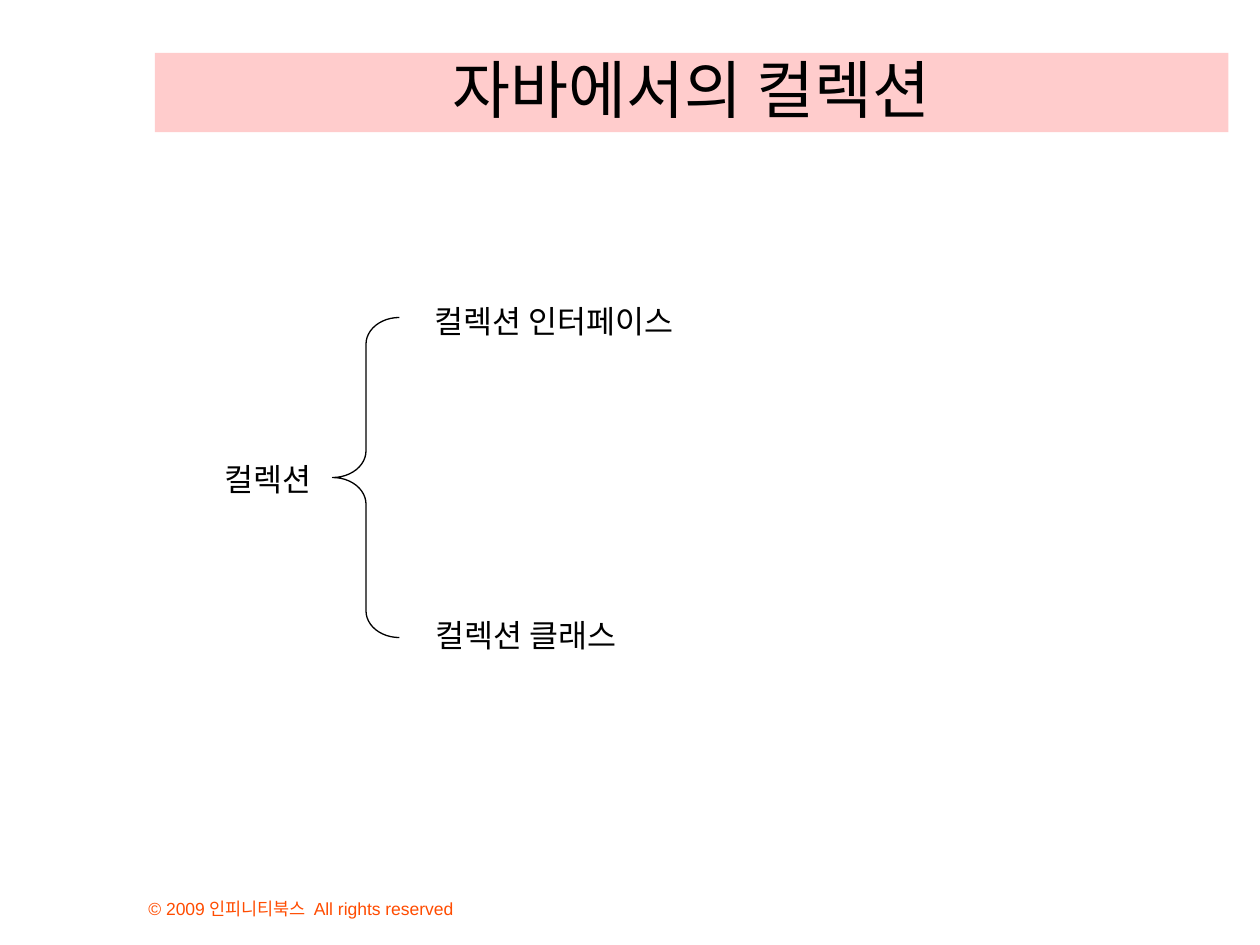
from pptx import Presentation
from pptx.dml.color import RGBColor
from pptx.enum.shapes import MSO_SHAPE
from pptx.enum.text import MSO_ANCHOR, MSO_AUTO_SIZE, PP_ALIGN
from pptx.util import Inches, Pt

RECT, LEFT_BRACE = MSO_SHAPE.RECTANGLE, MSO_SHAPE.LEFT_BRACE
TOP, BOTTOM = MSO_ANCHOR.TOP, MSO_ANCHOR.BOTTOM
LEFT, CENTER = PP_ALIGN.LEFT, PP_ALIGN.CENTER
FIT_SHAPE = MSO_AUTO_SIZE.SHAPE_TO_FIT_TEXT

COLORS = {"text": "000000", "banner": "FFCCCC", "footer": "FF4C00"}


def rgb(name):
    return RGBColor.from_string(COLORS[name])


def write(sp, text, size=18, font="Comic Neue", color="text",
          align=LEFT, anchor=TOP, wrap=True):
    tf = sp.text_frame
    tf.word_wrap = wrap
    tf.vertical_anchor = anchor
    p = tf.paragraphs[0]
    p.alignment = align
    r = p.add_run()
    r.text = text
    r.font.size = Pt(size)
    r.font.name = font
    r.font.color.rgb = rgb(color)


def add_text(slide, text, x, y, w, h, **fmt):
    sp = slide.shapes.add_textbox(Inches(x), Inches(y), Inches(w), Inches(h))
    write(sp, text, **fmt)
    return sp


def add_label(slide, text, x, y, w):
    sp = add_text(slide, text, x, y, w, 0.4, wrap=False)
    sp.text_frame.auto_size = FIT_SHAPE


def add_title(slide, text):
    sp = slide.shapes.add_shape(RECT, Inches(1.23), Inches(0.42), Inches(8.52), Inches(0.63))
    sp.shadow.inherit = False
    sp.fill.solid()
    sp.fill.fore_color.rgb = rgb("banner")
    sp.line.fill.background()
    write(sp, text, size=36, font="Roboto", align=CENTER, anchor=BOTTOM)


def add_brace(slide, x, y, w, h):
    sp = slide.shapes.add_shape(LEFT_BRACE, Inches(x), Inches(y), Inches(w), Inches(h))
    sp.shadow.inherit = False
    sp.fill.background()
    sp.line.color.rgb = rgb("text")
    sp.line.width = Pt(0.75)
    sp.adjustments[0] = 0.4


def main():
    prs = Presentation()
    prs.slide_width, prs.slide_height = Inches(10), Inches(7.5)
    slide = prs.slides.add_slide(prs.slide_layouts[6])

    add_text(slide, "© 2009 인피니티북스  All rights reserved", 1.08, 6.92, 3.83, 0.42,
             size=10, font="Arial", color="footer", anchor=BOTTOM)
    add_title(slide, "자바에서의 컬렉션")
    add_brace(slide, 2.64, 2.52, 0.53, 2.54)
    add_label(slide, "컬렉션", 1.68, 3.6, 0.89)
    add_label(slide, "컬렉션 인터페이스", 3.35, 2.35, 2.11)
    add_label(slide, "컬렉션 클래스", 3.36, 4.84, 1.71)

    prs.save("out.pptx")


if __name__ == "__main__":
    main()
